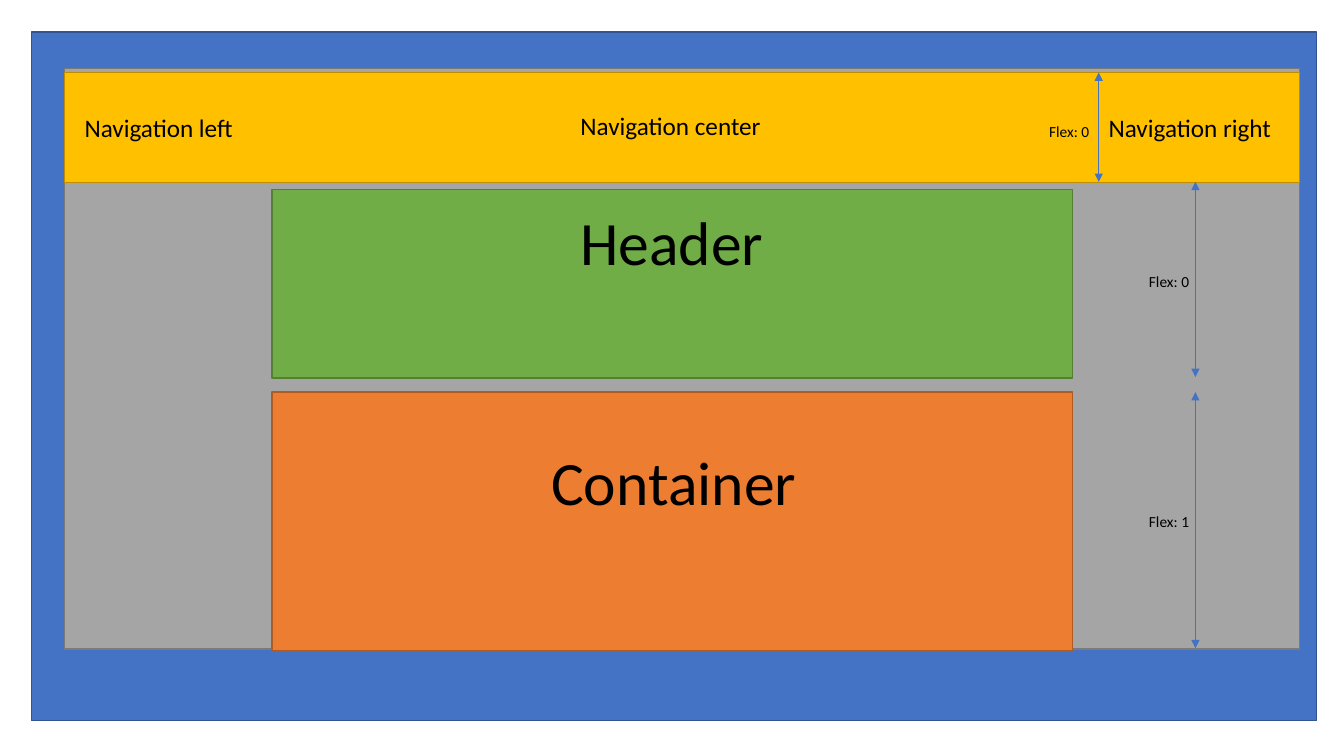
import pptx
import pptx.dml.color
import pptx.enum.shapes
import pptx.enum.text
import pptx.oxml.xmlchemy
import pptx.util

COLORS = {
    "page": ("4472C4", "325491"),
    "body": ("A5A5A5", "7A7A7A"),
    "navigation": ("FFC000", "BD8E00"),
    "header": ("70AD47", "538035"),
    "container": ("ED7D31", "AF5C24"),
    "arrow": "4472C4",
    "text": "000000",
}


class LayoutSketch:
    font = "Calibri"

    def __init__(self, slide):
        self.slide = slide

    def rgb(self, value):
        return pptx.dml.color.RGBColor.from_string(value)

    def area(self, part, *box):
        """Draw a filled area, box being left, top, width, height."""
        fill, line = COLORS[part]
        area = self.slide.shapes.add_shape(
            pptx.enum.shapes.MSO_SHAPE.RECTANGLE, *map(pptx.util.Pt, box))
        area.shadow.inherit = False
        area.fill.solid()
        area.fill.fore_color.rgb = self.rgb(fill)
        area.line.color.rgb = self.rgb(line)
        area.line.width = pptx.util.Pt(1)

    def label(self, wording, size, *box):
        frame = self.slide.shapes.add_textbox(*map(pptx.util.Pt, box)).text_frame
        frame_format = {
            "word_wrap": True,
            "auto_size": pptx.enum.text.MSO_AUTO_SIZE.SHAPE_TO_FIT_TEXT,
        }
        for name, value in frame_format.items():
            setattr(frame, name, value)
        run = frame.paragraphs[0].add_run()
        run.text = wording
        run_format = {"name": self.font, "size": pptx.util.Pt(size)}
        for name, value in run_format.items():
            setattr(run.font, name, value)
        run.font.color.rgb = self.rgb(COLORS["text"])

    def height_arrow(self, x, top, bottom):
        """Draw a vertical arrow with a head at each end."""
        arrow = self.slide.shapes.add_connector(
            pptx.enum.shapes.MSO_CONNECTOR.STRAIGHT,
            *map(pptx.util.Pt, (x, top, x, bottom)))
        arrow.line.color.rgb = self.rgb(COLORS["arrow"])
        arrow.line.width = pptx.util.Pt(0.5)
        line = arrow.line._get_or_add_ln()
        for end in ("a:headEnd", "a:tailEnd"):
            head = pptx.oxml.xmlchemy.OxmlElement(end)
            head.set("type", "triangle")
            line.append(head)
        line.getparent().append(pptx.oxml.xmlchemy.OxmlElement("a:effectLst"))


def main():
    deck = pptx.Presentation()
    deck.slide_width = pptx.util.Pt(960)
    deck.slide_height = pptx.util.Pt(540)
    sketch = LayoutSketch(deck.slides.add_slide(deck.slide_layouts[6]))

    # Page and its body
    sketch.area("page", 22.3, 23, 918, 491.8)
    sketch.area("body", 46.1, 49, 882, 414.7)

    # Navigation bar
    sketch.area("navigation", 46.1, 51.8, 882, 78.5)
    sketch.label("Navigation left", 18, 53.3, 77, 126, 29.1)
    sketch.label("Navigation right", 18, 784.8, 77, 177.1, 29.1)
    sketch.label("Navigation center", 18, 407.5, 75.2, 177.1, 29.1)

    # Header and container
    sketch.area("header", 194.4, 135.4, 571.7, 134.6)
    sketch.label("Header", 44, 407.5, 141.8, 172.1, 60.5)
    sketch.area("container", 194.4, 280.1, 571.7, 185)
    sketch.label("Container", 44, 386.6, 313.9, 216.7, 60.5)

    # Heights: flex label with its left and top, arrow with its x, top and bottom
    heights = [
        ("Flex: 0", 742.3, 83.5, 784.8, 51.8, 129.9),
        ("Flex: 0", 813.6, 190.8, 853.9, 129.9, 269.3),
        ("Flex: 1", 813.6, 362.2, 853.9, 280.1, 463),
    ]
    for flex, left, label_top, x, top, bottom in heights:
        sketch.height_arrow(x, top, bottom)
        sketch.label(flex, 11, left, label_top, 177.1, 20.6)

    deck.save("out.pptx")


if __name__ == "__main__":
    main()
